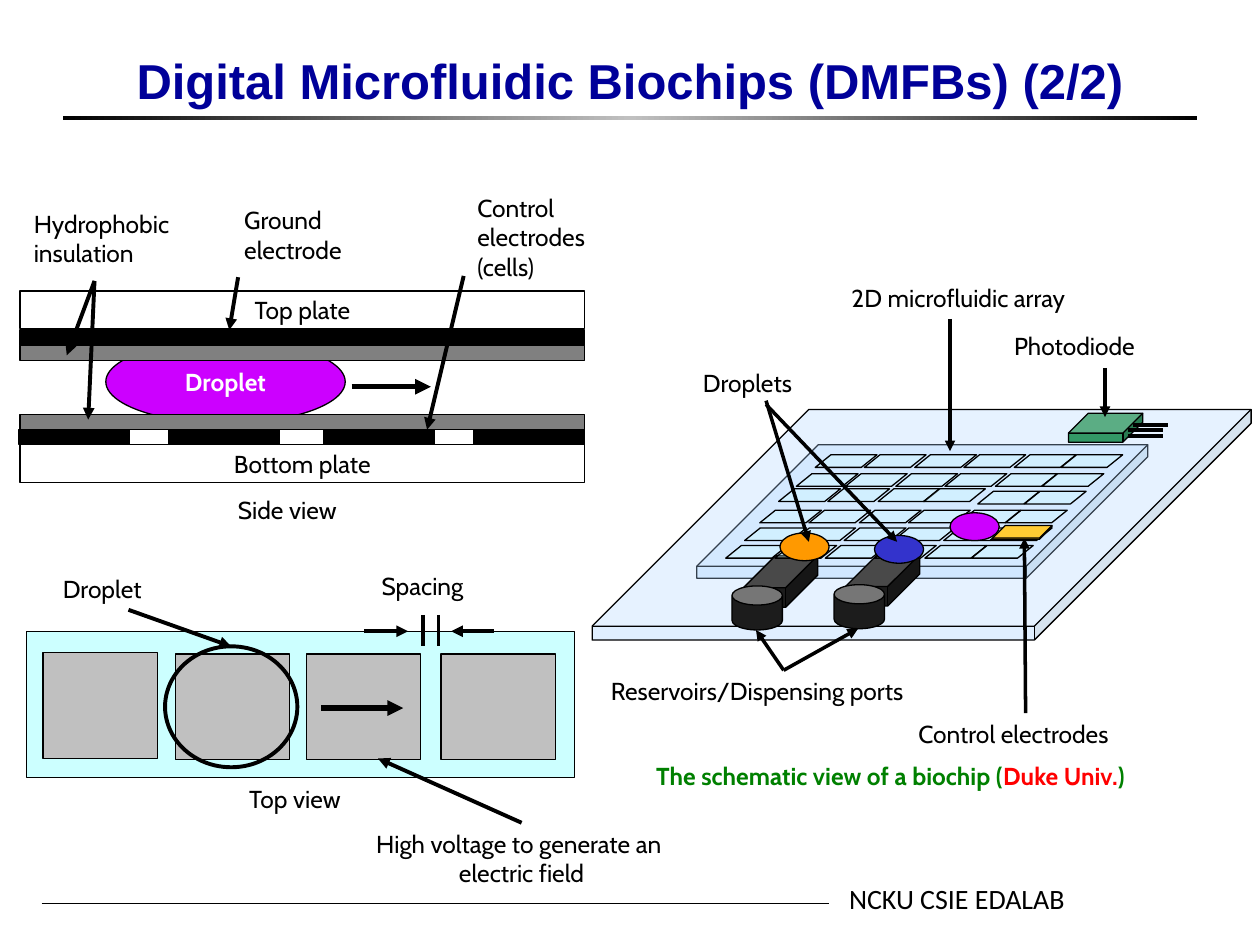
import copy

import pptx
import pptx.dml.color
import pptx.enum.dml
import pptx.enum.shapes
import pptx.enum.text
import pptx.oxml
import pptx.oxml.ns
import pptx.util

PX = 9144  # EMU per px, 100 px to the inch

RGB = pptx.dml.color.RGBColor
BLACK = RGB(0x00, 0x00, 0x00)
WHITE = RGB(0xFF, 0xFF, 0xFF)
NAVY = RGB(0x00, 0x00, 0x99)
GREY = RGB(0x80, 0x80, 0x80)
SILVER = RGB(0xC0, 0xC0, 0xC0)
CHARCOAL = RGB(0x1C, 0x1C, 0x1C)
PURPLE = RGB(0xCC, 0x00, 0xFF)
ORANGE = RGB(0xFF, 0x99, 0x00)
AMBER = RGB(0xFF, 0xC0, 0x00)
BLUE = RGB(0x33, 0x33, 0xCC)
GLASS = RGB(0x99, 0xCC, 0xFF)
ICE = RGB(0xCC, 0xFF, 0xFF)
EMERALD = RGB(0x33, 0x99, 0x66)
GREEN = RGB(0x00, 0x80, 0x00)
RED = RGB(0xFF, 0x00, 0x00)

KIND = pptx.enum.shapes.MSO_SHAPE
ALIGN = pptx.enum.text.PP_ALIGN
ANCHOR = pptx.enum.text.MSO_ANCHOR
FIT = pptx.enum.text.MSO_AUTO_SIZE


def write_text(frame, text, *, size=14, font="Cabin", color=BLACK, bold=False,
               align=ALIGN.LEFT, spacing=None):
    """Fill a frame; text is a string or a list of (string, color)."""
    paragraph = frame.paragraphs[0]
    paragraph.alignment = align
    if spacing:
        paragraph.line_spacing = spacing
    pieces = [(text, color)] if isinstance(text, str) else text
    for words, tint in pieces:
        for number, line in enumerate(words.split("\n")):
            if number:
                paragraph.add_line_break()
            run = paragraph.add_run()
            run.text = line
            run.font.size = pptx.util.Pt(size)
            run.font.name = font
            run.font.bold = bold
            run.font.color.rgb = tint


class Diagram:
    def __init__(self, slide, outline=0.75, stroke=2.25):
        self.slide = slide
        self.outline = outline
        self.stroke = stroke

    def title(self, text, *box, **style):
        heading = self.slide.shapes.title
        heading.left, heading.top, heading.width, heading.height = (v * PX for v in box)
        heading.text_frame.auto_size = FIT.NONE
        heading.text_frame.vertical_anchor = ANCHOR.BOTTOM
        write_text(heading.text_frame, text, align=ALIGN.CENTER, **style)

    def label(self, text, *box, **style):
        label = self.slide.shapes.add_textbox(*(v * PX for v in box))
        label.text_frame.word_wrap = True
        label.text_frame.auto_size = FIT.SHAPE_TO_FIT_TEXT
        write_text(label.text_frame, text, **style)
        return label

    def shape(self, kind, *box, fill=None, adjust=None, alpha=None, text=None, **style):
        shape = self.slide.shapes.add_shape(kind, *(v * PX for v in box))
        shape.shadow.inherit = False
        if adjust is not None:
            shape.adjustments[0] = adjust
        if fill is None:
            shape.fill.background()
        else:
            shape.fill.solid()
            shape.fill.fore_color.rgb = fill
        if alpha:
            tint = shape.fill._xPr.find(".//" + pptx.oxml.ns.qn("a:srgbClr"))
            tint.append(pptx.oxml.parse_xml(
                f'<a:alpha {pptx.oxml.ns.nsdecls("a")} val="{alpha * 1000}"/>'))
        shape.line.color.rgb = BLACK
        shape.line.width = pptx.util.Pt(self.outline)
        if text:
            shape.text_frame.word_wrap = False
            shape.text_frame.vertical_anchor = ANCHOR.MIDDLE
            write_text(shape.text_frame, text, align=ALIGN.CENTER, **style)
        return shape

    def line(self, x1, y1, x2, y2, width=None, arrow=False):
        line = self.slide.shapes.add_connector(
            pptx.enum.shapes.MSO_CONNECTOR.STRAIGHT, x1 * PX, y1 * PX, x2 * PX, y2 * PX)
        line.line.color.rgb = BLACK
        line.line.width = pptx.util.Pt(width or self.stroke)
        namespace = pptx.oxml.ns.nsdecls("a")
        if arrow:
            line.line._get_or_add_ln().append(
                pptx.oxml.parse_xml(f'<a:tailEnd {namespace} type="triangle"/>'))
        line._element.spPr.append(pptx.oxml.parse_xml(f"<a:effectLst {namespace}/>"))
        return line

    def arrow(self, *ends, width=None):
        return self.line(*ends, width=width, arrow=True)

    def gradient_rule(self, *box):
        rule = self.shape(KIND.RECTANGLE, *box)
        rule.line.fill.background()
        rule.fill.gradient()
        rule.fill.gradient_angle = 0
        first, last = rule.fill.gradient_stops
        first._gs.addnext(copy.deepcopy(first._gs))
        for stop, (position, color) in zip(
                rule.fill.gradient_stops, [(0, BLACK), (0.5, SILVER), (1, BLACK)]):
            stop.position = position
            stop.color.rgb = color


def draw_frame(d):
    d.gradient_rule(50, 92, 900, 3)
    d.line(33, 717, 658, 717, width=0.5)
    d.label("NCKU CSIE EDALAB", 664, 695, 219, 37, size=16, font="Calibri")
    d.title("Digital Microfluidic Biochips (DMFBs) (2/2)", 75, 0, 850, 92,
            size=28, font="Arial", color=NAVY, bold=True)


def draw_side_view(d):
    d.label("Side view", 179, 388, 157, 34)
    d.shape(KIND.OVAL, 84, 270, 190, 66, fill=PURPLE, text="Droplet", color=WHITE, bold=True)
    # Plates and their layers
    for top, height, fill, text in [(353, 30, None, "Bottom plate"), (262, 12, BLACK, None),
                                    (231, 30, None, "Top plate"), (274, 12, GREY, None),
                                    (329, 12, GREY, None)]:
        d.shape(KIND.RECTANGLE, 16, top, 448, height, fill=fill, text=text)
    for left in (15, 134, 257, 376):
        d.shape(KIND.RECTANGLE, left, 341, 88, 12, fill=BLACK)
    # Callouts
    d.label("Ground \nelectrode", 184, 158, 126, 57)
    d.label("Control \nelectrodes (cells)", 369, 148, 146, 81)
    d.label("Hydrophobic insulation", 17, 161, 187, 57)
    for ends in [(189, 220, 182, 262), (368, 219, 339, 341),
                 (75, 223, 70, 333), (75, 223, 53, 282)]:
        d.arrow(*ends)
    d.arrow(279, 307, 342, 307, width=3)


def draw_top_view(d):
    d.label("Top view", 188, 617, 157, 34)
    d.shape(KIND.RECTANGLE, 21, 501, 435, 116, fill=ICE)
    for left, top in [(34, 518), (139, 519), (243, 519), (350, 519)]:
        d.shape(KIND.RECTANGLE, left, top, 91, 84, fill=SILVER)
    d.arrow(255, 562, 320, 562, width=3)
    # Droplet
    d.outline = 2.25
    droplet = d.shape(KIND.OVAL, 131, 513, 105, 96)
    d.outline = 0.75
    d.label("Droplet", 40, 451, 124, 34)
    d.arrow(102, 484, 183, 513).end_connect(droplet, 0)
    # Spacing marks
    d.label("Spacing", 293, 448, 147, 34)
    for x in (336, 348):
        d.line(x, 488, x, 513)
    d.arrow(392, 501, 358, 501)
    d.arrow(289, 501, 324, 501)
    # Voltage note
    voltage = d.label("High voltage to generate an \nelectric field", 242, 653, 344, 57,
                      align=ALIGN.CENTER)
    d.arrow(414, 653, 300, 602).begin_connect(voltage, 0)


def draw_biochip(d):
    d.stroke = 2
    # Glass plates and reservoirs
    d.shape(KIND.CUBE, 553, 353, 358, 106, fill=GLASS, adjust=0.91, alpha=30)
    d.shape(KIND.CUBE, 470, 325, 523, 183, fill=GLASS, adjust=0.94, alpha=30)
    for left, top in [(581, 465), (662, 464)]:
        d.shape(KIND.CUBE, left + 9, top - 24, 59, 41, fill=CHARCOAL, adjust=0.622)
        d.shape(KIND.CAN, left, top, 40, 35, fill=CHARCOAL, adjust=0.435)
    # Electrode array: each row is slanted to the left of the one above
    offsets = (0, 39, 79, 118, 158, 195)
    for left, top in [(576, 433), (591, 419), (603, 405), (618, 388), (632, 376), (647, 361)]:
        for column, offset in enumerate(offsets):
            drop = 2 if top == 388 and column > 3 else 0
            shift = -3 if top == 388 and column == 3 else 0
            d.shape(KIND.PARALLELOGRAM, left + offset + shift, top + drop, 49, 10,
                    fill=ICE, adjust=1.241, alpha=30)
    d.label("Reservoirs/Dispensing ports", 475, 532, 380, 34)
    d.arrow(622, 532, 600, 500)
    d.arrow(622, 532, 681, 499)
    # Photodiode
    d.label("Photodiode", 795, 258, 220, 34)
    d.shape(KIND.CUBE, 848, 328, 59, 23, fill=EMERALD, adjust=0.687)
    for left, y in [(899, 337), (895, 341), (895, 346)]:
        d.line(left, y, left + 28, y, width=2.25)
    d.arrow(877, 292, 877, 331)
    d.label("2D microfluidic array", 666, 223, 264, 30, spacing=0.85)
    d.arrow(754, 253, 754, 358)
    # Droplets and control electrode
    d.label("Droplets", 548, 287, 125, 34)
    for left, top, fill in [(619, 423, ORANGE), (694, 425, BLUE)]:
        d.shape(KIND.OVAL, left, top, 39, 22, fill=fill)
    d.arrow(608, 321, 712, 430)
    d.arrow(608, 318, 642, 430)
    d.label("Control electrodes", 719, 566, 238, 34)
    d.arrow(814, 566, 813, 427)
    d.shape(KIND.CUBE, 788, 417, 47, 11, fill=AMBER, adjust=0.91)
    d.shape(KIND.OVAL, 754, 407, 39, 22, fill=PURPLE)
    d.label([("The schematic view of a biochip (", GREEN), ("Duke Univ.", RED), (")", GREEN)],
            511, 599, 457, 34, bold=True)


def main():
    deck = pptx.Presentation()
    deck.slide_width, deck.slide_height = 1000 * PX, 750 * PX
    diagram = Diagram(deck.slides.add_slide(deck.slide_layouts[5]))
    for draw in (draw_frame, draw_side_view, draw_top_view, draw_biochip):
        draw(diagram)
    deck.save("out.pptx")


if __name__ == "__main__":
    main()
